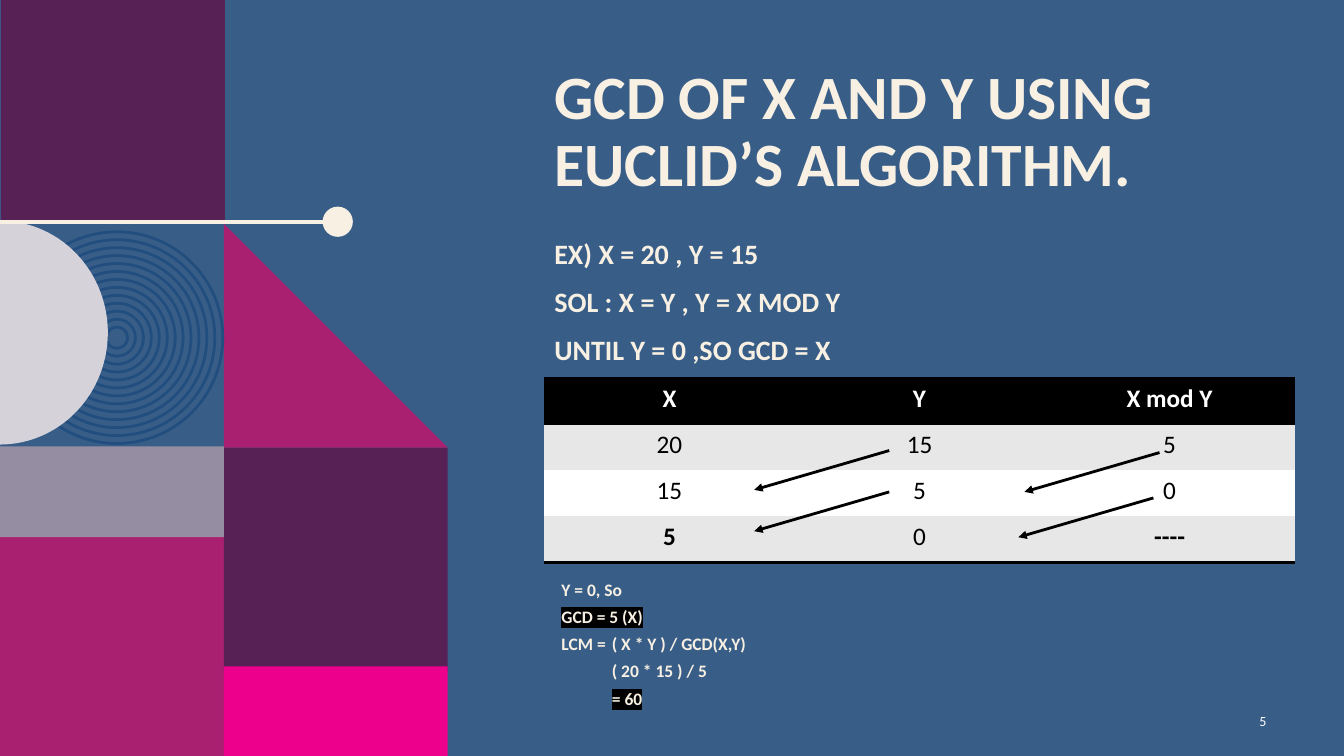
"""Build the slide on Euclid's algorithm for the GCD of X and Y."""
from dataclasses import dataclass
from math import cos, pi, sin

from lxml.etree import SubElement
from pptx import Presentation
from pptx.dml.color import RGBColor
from pptx.enum.shapes import MSO_CONNECTOR, MSO_SHAPE
from pptx.enum.text import MSO_ANCHOR, PP_ALIGN
from pptx.oxml import parse_xml
from pptx.oxml.ns import nsdecls, qn
from pptx.shapes.autoshape import Shape
from pptx.slide import Slide
from pptx.table import _Cell
from pptx.text.text import TextFrame, _Run
from pptx.util import Inches, Pt

BLUE = RGBColor(0x38, 0x5E, 0x88)
RING_BLUE = RGBColor(0x22, 0x4E, 0x7F)
PLUM = RGBColor(0x58, 0x21, 0x56)
MAGENTA = RGBColor(0xAA, 0x20, 0x70)
PINK = RGBColor(0xEC, 0x00, 0x8C)
MAUVE = RGBColor(0x95, 0x8E, 0xA2)
LILAC = RGBColor(0xD5, 0xD2, 0xDA)
CREAM = RGBColor(0xF8, 0xF0, 0xE3)
GREY = RGBColor(0xE7, 0xE7, 0xE7)
BLACK = RGBColor(0, 0, 0)
WHITE = RGBColor(0xFF, 0xFF, 0xFF)
FONT = "Calibri"
TILE = 2.22


@dataclass(frozen=True)
class Block:
    left: float
    top: float
    width: float
    height: float
    color: RGBColor


@dataclass(frozen=True)
class Outline:
    points: list[tuple[float, float]]
    color: RGBColor


@dataclass(frozen=True)
class Line:
    start: tuple[float, float]
    end: tuple[float, float]
    color: RGBColor
    width: float
    arrow: bool = False


@dataclass(frozen=True)
class TextBlock:
    left: float
    top: float
    width: float
    height: float
    lines: list[str]
    size: float
    line_spacing: float | Pt = 1.0
    space_before: float = 0
    color: RGBColor = CREAM
    bold: bool = True
    alignment: PP_ALIGN = PP_ALIGN.LEFT
    anchor: MSO_ANCHOR = MSO_ANCHOR.TOP


BLOCKS = [
    Block(0.01, 0, TILE, TILE, PLUM),
    Block(0, 5.27, TILE, 2.23, MAGENTA),
    Block(TILE, 2 * TILE, TILE, TILE, PLUM),
    Block(TILE, 6.61, TILE, 0.89, PINK),
    Block(0, 2.19, TILE, TILE, BLUE),
]
BAND = Block(0, 4.43, TILE, 0.9, MAUVE)
DOT = Block(3.2, 2.05, 0.3, 0.3, CREAM)
TRIANGLE = Outline([(TILE, TILE), (2 * TILE, 2 * TILE), (TILE, 2 * TILE)], MAGENTA)
ARC_STEPS = 60
HALF_DISC = Outline(
    [(1.07 * sin(pi * step / ARC_STEPS), 3.3 - 1.11 * cos(pi * step / ARC_STEPS))
     for step in range(ARC_STEPS + 1)],
    LILAC,
)
ROD = Line((0, 2.2), (3.26, 2.2), CREAM, 3)
ARROWS = [
    Line((x, y), (x - 1.34, y + 0.39), BLACK, 2, True)
    for x, y in [(8.82, 4.47), (11.5, 4.49), (8.82, 4.88), (11.44, 4.94)]
]
TITLE = TextBlock(5.4, 0.61, 7.44, 1.45, ["GCD OF X AND Y USING EUCLID’S ALGORITHM."], 44, 0.9)
EXAMPLE = TextBlock(
    5.4, 2.3, 7.44, 4.24,
    ["EX) X = 20 , Y = 15", "SOL : X = Y , Y = X MOD Y", "UNTIL Y = 0 ,SO GCD = X"],
    20, Pt(24), 10,
)
PAGE_NUMBER = TextBlock(
    12.16, 6.95, 0.5, 0.4, ["5"], 10, color=WHITE, bold=False,
    alignment=PP_ALIGN.RIGHT, anchor=MSO_ANCHOR.MIDDLE,
)
RESULT = TextBlock(
    5.47, 5.63, 4.68, 1.53,
    ["Y = 0, So", "GCD = 5 (X)", "LCM = \t( X * Y ) / GCD(X,Y)", "\t( 20 * 15 ) / 5", "\t"],
    12.5, 1.3,
)
STEPS = [["X", "Y", "X mod Y"], ["20", "15", "5"], ["15", "5", "0"], ["5", "0", "----"]]
ROW_FILLS = [BLACK, GREY, WHITE, GREY]
BOLD_CELLS = {(0, 0), (0, 1), (0, 2), (3, 0), (3, 2)}


def add_block(slide: Slide, block: Block, kind: MSO_SHAPE = MSO_SHAPE.RECTANGLE) -> None:
    shape = slide.shapes.add_shape(
        kind, Inches(block.left), Inches(block.top), Inches(block.width), Inches(block.height))
    fill_plain(shape, block.color)


def fill_plain(shape: Shape, color: RGBColor) -> None:
    shape.shadow.inherit = False
    shape.fill.solid()
    shape.fill.fore_color.rgb = color
    shape.line.fill.background()


def add_outline(slide: Slide, outline: Outline) -> None:
    points = [(Inches(x), Inches(y)) for x, y in outline.points]
    builder = slide.shapes.build_freeform(*points[0])
    builder.add_line_segments(points[1:], close=True)
    fill_plain(builder.convert_to_shape(), outline.color)


def add_rings(slide: Slide, center_x: float, center_y: float) -> None:
    for index in range(13):
        size = 2.1 - index * 1.89 / 12
        ring = slide.shapes.add_shape(
            MSO_SHAPE.OVAL, Inches(center_x - size / 2), Inches(center_y - size / 2),
            Inches(size), Inches(size))
        ring.shadow.inherit = False
        ring.fill.background()
        ring.line.color.rgb = RING_BLUE
        ring.line.width = Pt(2)


def add_line(slide: Slide, line: Line) -> None:
    connector = slide.shapes.add_connector(
        MSO_CONNECTOR.STRAIGHT, *map(Inches, line.start), *map(Inches, line.end))
    connector.line.color.rgb = line.color
    connector.line.width = Pt(line.width)
    if line.arrow:
        SubElement(connector.line._get_or_add_ln(), qn("a:tailEnd"), type="triangle")
    SubElement(connector._element.spPr, qn("a:effectLst"))


def format_run(run: _Run, size: float, color: RGBColor, bold: bool) -> None:
    run.font.name = FONT
    run.font.size = Pt(size)
    run.font.color.rgb = color
    run.font.bold = bold


def add_text(slide: Slide, block: TextBlock) -> TextFrame:
    text_frame = slide.shapes.add_textbox(
        Inches(block.left), Inches(block.top), Inches(block.width), Inches(block.height)).text_frame
    text_frame.word_wrap = True
    text_frame.vertical_anchor = block.anchor
    text_frame.text = "\n".join(block.lines)
    for paragraph in text_frame.paragraphs:
        paragraph.alignment = block.alignment
        paragraph.line_spacing = block.line_spacing
        paragraph.space_before = Pt(block.space_before)
        for run in paragraph.runs:
            format_run(run, block.size, block.color, block.bold)
    return text_frame


def highlight(run: _Run, color: RGBColor) -> None:
    mark = parse_xml(f'<a:highlight {nsdecls("a")}><a:srgbClr val="{color}"/></a:highlight>')
    run._r.rPr.find(qn("a:latin")).addprevious(mark)


def add_result(slide: Slide) -> None:
    paragraphs = add_text(slide, RESULT).paragraphs
    answer = paragraphs[-1].add_run()
    answer.text = "= 60"
    format_run(answer, RESULT.size, RESULT.color, RESULT.bold)
    for run in (paragraphs[1].runs[0], answer):
        highlight(run, BLACK)


def set_borders(cell: _Cell, ruled: str) -> None:
    properties = cell._tc.get_or_add_tcPr()
    for index, side in enumerate("LRTB"):
        paint = f'<a:solidFill><a:srgbClr val="{BLACK}"/></a:solidFill>' if side in ruled else "<a:noFill/>"
        properties.insert(index, parse_xml(
            f'<a:ln{side} {nsdecls("a")} w="{Pt(2)}">{paint}</a:ln{side}>'))


def add_steps_table(slide: Slide) -> None:
    table = slide.shapes.add_table(
        len(STEPS), len(STEPS[0]), Inches(5.4), Inches(3.75), Inches(7.44), Inches(1.83)).table
    for row, values in enumerate(STEPS):
        for column, value in enumerate(values):
            cell = table.cell(row, column)
            cell.fill.solid()
            cell.fill.fore_color.rgb = ROW_FILLS[row]
            set_borders(cell, {0: "TB", 1: "T", 3: "B"}.get(row, ""))
            cell.text_frame.text = value
            paragraph = cell.text_frame.paragraphs[0]
            paragraph.alignment = PP_ALIGN.CENTER
            format_run(paragraph.runs[0], 18, BLACK if row else WHITE, (row, column) in BOLD_CELLS)


def main() -> None:
    presentation = Presentation()
    presentation.slide_width = Inches(13.33)
    presentation.slide_height = Inches(7.5)
    slide = presentation.slides.add_slide(presentation.slide_layouts[6])
    slide.background.fill.solid()
    slide.background.fill.fore_color.rgb = BLUE
    for block in BLOCKS:
        add_block(slide, block)
    add_outline(slide, TRIANGLE)
    add_rings(slide, 1.16, 3.35)
    add_block(slide, BAND)
    add_outline(slide, HALF_DISC)
    add_line(slide, ROD)
    add_block(slide, DOT, MSO_SHAPE.OVAL)
    for text_block in (TITLE, EXAMPLE, PAGE_NUMBER):
        add_text(slide, text_block)
    add_steps_table(slide)
    for arrow in ARROWS:
        add_line(slide, arrow)
    add_result(slide)
    presentation.save("out.pptx")


if __name__ == "__main__":
    main()
